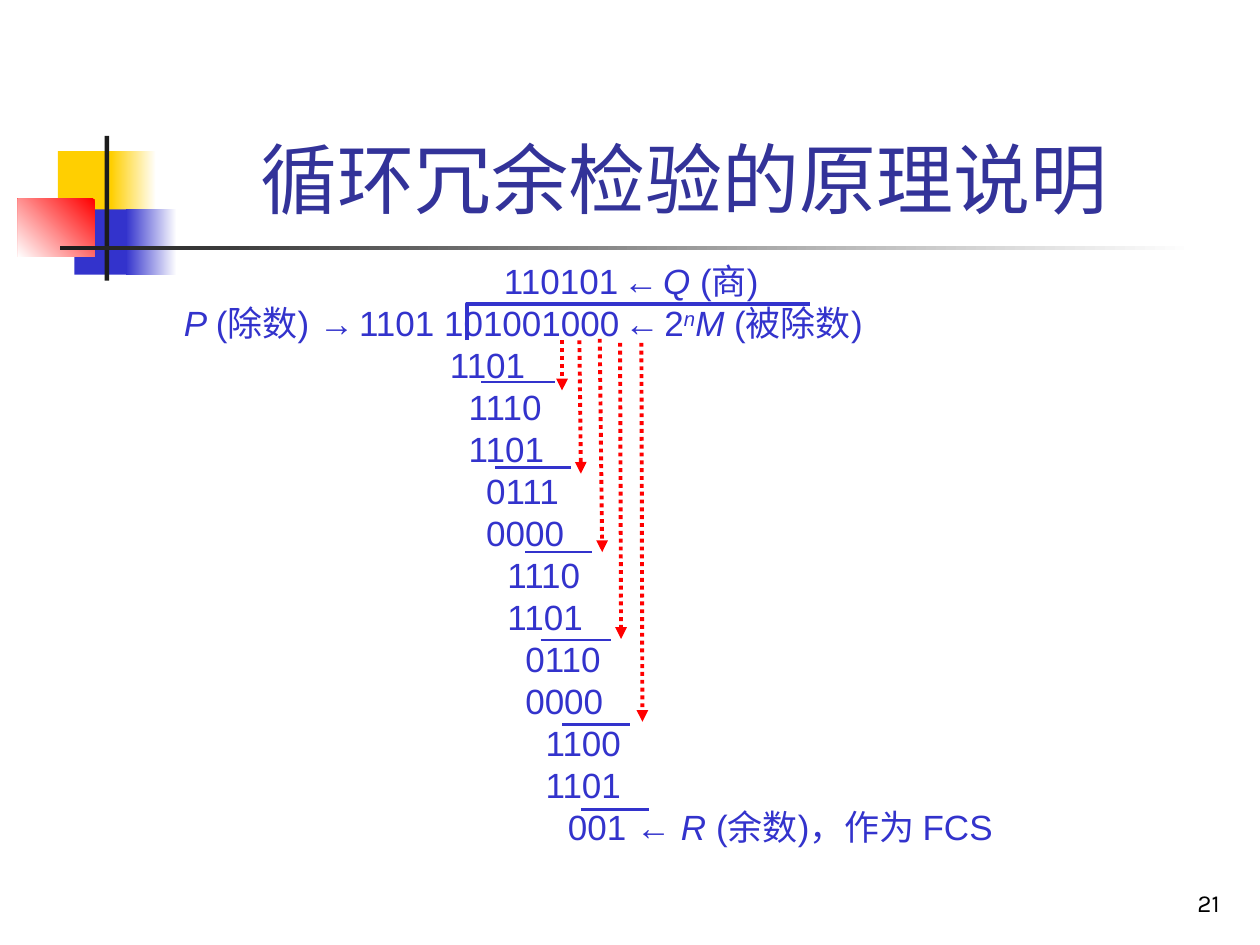
from dataclasses import dataclass
from typing import NamedTuple

from pptx import Presentation
from pptx.dml.color import RGBColor
from pptx.enum.dml import MSO_LINE
from pptx.enum.shapes import MSO_CONNECTOR, MSO_SHAPE
from pptx.enum.text import MSO_ANCHOR, PP_ALIGN
from pptx.oxml.ns import qn
from pptx.util import Cm, Pt

RECTANGLE = MSO_SHAPE.RECTANGLE
STRAIGHT = MSO_CONNECTOR.STRAIGHT
DOTTED = MSO_LINE.ROUND_DOT
TOP, BOTTOM = MSO_ANCHOR.TOP, MSO_ANCHOR.BOTTOM
LEFT, CENTER, RIGHT = PP_ALIGN.LEFT, PP_ALIGN.CENTER, PP_ALIGN.RIGHT

BLUE = "3333CC"
RED = "FF0000"
YELLOW = "FFCF01"
DARK = "1C1C1C"
WHITE = "FFFFFF"


class Area(NamedTuple):
    left: float
    top: float
    width: float
    height: float


class Span(NamedTuple):
    text: str
    size: float = 20
    bold: bool = False
    italic: bool = False
    raised: bool = False
    font: str = "Arial"
    color: str = BLUE


@dataclass
class Row:
    spans: list[Span]
    indent: float = 0
    align: PP_ALIGN = LEFT
    pitch: float | None = None


@dataclass
class Block:
    area: Area
    colors: tuple[str, ...]
    angle: float = 180


@dataclass
class Stroke:
    start: tuple[float, float]
    end: tuple[float, float]
    color: str = BLUE
    width: float = 1.5
    arrow: bool = False


def rgb(code: str) -> RGBColor:
    return RGBColor.from_string(code)


def draw_block(page, block: Block) -> None:
    shape = page.shapes.add_shape(RECTANGLE, *map(Cm, block.area))
    shape.shadow.inherit = False
    shape.line.fill.background()
    if len(block.colors) == 1:
        shape.fill.solid()
        shape.fill.fore_color.rgb = rgb(block.colors[0])
        return
    shape.fill.gradient()
    shape.fill.gradient_angle = block.angle
    for stop, code in zip(shape.fill.gradient_stops, block.colors):
        stop.color.rgb = rgb(code)


def draw_text(page, area: Area, rows: list[Row], anchor=TOP) -> None:
    frame = page.shapes.add_textbox(*map(Cm, area)).text_frame
    frame.word_wrap = True
    frame.vertical_anchor = anchor
    for index, row in enumerate(rows):
        para = frame.paragraphs[0] if index == 0 else frame.add_paragraph()
        para.alignment = row.align
        if row.pitch:
            para.line_spacing = Pt(row.pitch)
        if row.indent:
            para._p.get_or_add_pPr().set("marL", str(Cm(row.indent)))
        for span in row.spans:
            run = para.add_run()
            run.text = span.text
            formats = {"name": span.font, "size": Pt(span.size),
                       "bold": span.bold, "italic": span.italic}
            for name, value in formats.items():
                setattr(run.font, name, value)
            run.font.color.rgb = rgb(span.color)
            if span.raised:
                run.font._element.set("baseline", "30000")


def draw_stroke(page, stroke: Stroke) -> None:
    line = page.shapes.add_connector(STRAIGHT, *map(Cm, stroke.start + stroke.end))
    line.line.color.rgb = rgb(stroke.color)
    line.line.width = Pt(stroke.width)
    properties = line._element.spPr
    if stroke.arrow:
        line.line.dash_style = DOTTED
        outline = properties.find(qn("a:ln"))
        tail = outline.makeelement(qn("a:tailEnd"), {"type": "triangle"})
        outline.append(tail)
    properties.append(properties.makeelement(qn("a:effectLst"), {}))


def draw_bracket(page, points: list[tuple[float, float]]) -> None:
    start, *rest = [(Cm(x), Cm(y)) for x, y in points]
    builder = page.shapes.build_freeform(*start, scale=1.0)
    builder.add_line_segments(rest, close=False)
    shape = builder.convert_to_shape()
    shape.shadow.inherit = False
    shape.fill.background()
    shape.line.color.rgb = rgb(BLUE)
    shape.line.width = Pt(2.25)


BLOCKS = [
    Block(Area(1.17, 3.05, 1.22, 1.32), (YELLOW,)),
    Block(Area(2.24, 3.05, 0.91, 1.32), (WHITE, YELLOW)),
    Block(Area(1.5, 4.22, 1.17, 1.32), (BLUE,)),
    Block(Area(2.54, 4.22, 1.02, 1.32), (WHITE, BLUE)),
    Block(Area(0.36, 4.01, 1.55, 1.17), (RED, WHITE), 225),
    Block(Area(2.11, 2.74, 0.09, 2.92), (DARK,)),
    Block(Area(1.22, 4.95, 22.86, 0.09), (WHITE, DARK)),
]

GAP = Span(" ", 10)
BACK_ARROW = [GAP, Span("←"), GAP]
QUOTIENT = [Span("110101"), *BACK_ARROW, Span("Q ", italic=True), Span("(商)")]
DIVIDEND = [
    Span("P ", italic=True), Span("(除数) "), Span("→", bold=True), GAP,
    Span("1101 101001000"), *BACK_ARROW, Span("2"),
    Span("n", italic=True, raised=True), Span("M ", italic=True), Span("(被除数)"),
]
REMAINDER = [Span("001 ← "), Span("R", italic=True), Span(" (余数)，作为 FCS")]
STEPS = [
    (6.1, ["1101"]),
    (6.48, ["1110", "1101"]),
    (6.83, ["0111", "0000"]),
    (7.26, ["1110", "1101"]),
    (7.62, ["0110", "0000"]),
    (8.03, ["1100", "1101"]),
]
PITCH = 24
DIVISION = [
    Row(QUOTIENT, 7.19, pitch=PITCH),
    Row(DIVIDEND, 0.74, pitch=PITCH),
    *(Row([Span(digits)], indent, pitch=PITCH)
      for indent, numbers in STEPS for digits in numbers),
    Row(REMAINDER, 8.48, pitch=PITCH),
]

BRACKET = [(9.42, 6.86), (9.42, 6.12), (16.33, 6.12)]
ARROWS = [
    (11.33, 6.86, 11.33, 7.87),
    (11.68, 6.86, 11.71, 9.55),
    (12.09, 6.83, 12.14, 11.13),
    (12.5, 6.91, 12.52, 12.88),
    (12.93, 6.91, 12.95, 14.55),
]
RULES = [
    (9.7, 11.18, 7.7), (9.98, 11.51, 9.42), (10.59, 11.94, 11.13),
    (10.9, 12.32, 12.9), (11.33, 12.7, 14.6), (11.71, 13.08, 16.32),
]


def main() -> None:
    deck = Presentation()
    deck.slide_width, deck.slide_height = Cm(25.4), Cm(19.05)
    page = deck.slides.add_slide(deck.slide_layouts[6])
    for block in BLOCKS:
        draw_block(page, block)
    draw_text(page, Area(2.72, 5.11, 22.68, 12.12), DIVISION)
    title = Span("循环冗余检验的原理说明", 44, color="333399")
    draw_text(page, Area(3.2, 0.58, 21.21, 4.06), [Row([title], align=CENTER)], BOTTOM)
    draw_bracket(page, BRACKET)
    for x1, y1, x2, y2 in ARROWS:
        draw_stroke(page, Stroke((x1, y1), (x2, y2), RED, 2.25, True))
    for left, right, height in RULES:
        draw_stroke(page, Stroke((left, height), (right, height)))
    number = Span("21", 14, font="Karla", color="000000")
    draw_text(page, Area(19.56, 17.35, 5.28, 1.27), [Row([number], align=RIGHT)], BOTTOM)
    deck.save("out.pptx")


if __name__ == "__main__":
    main()
